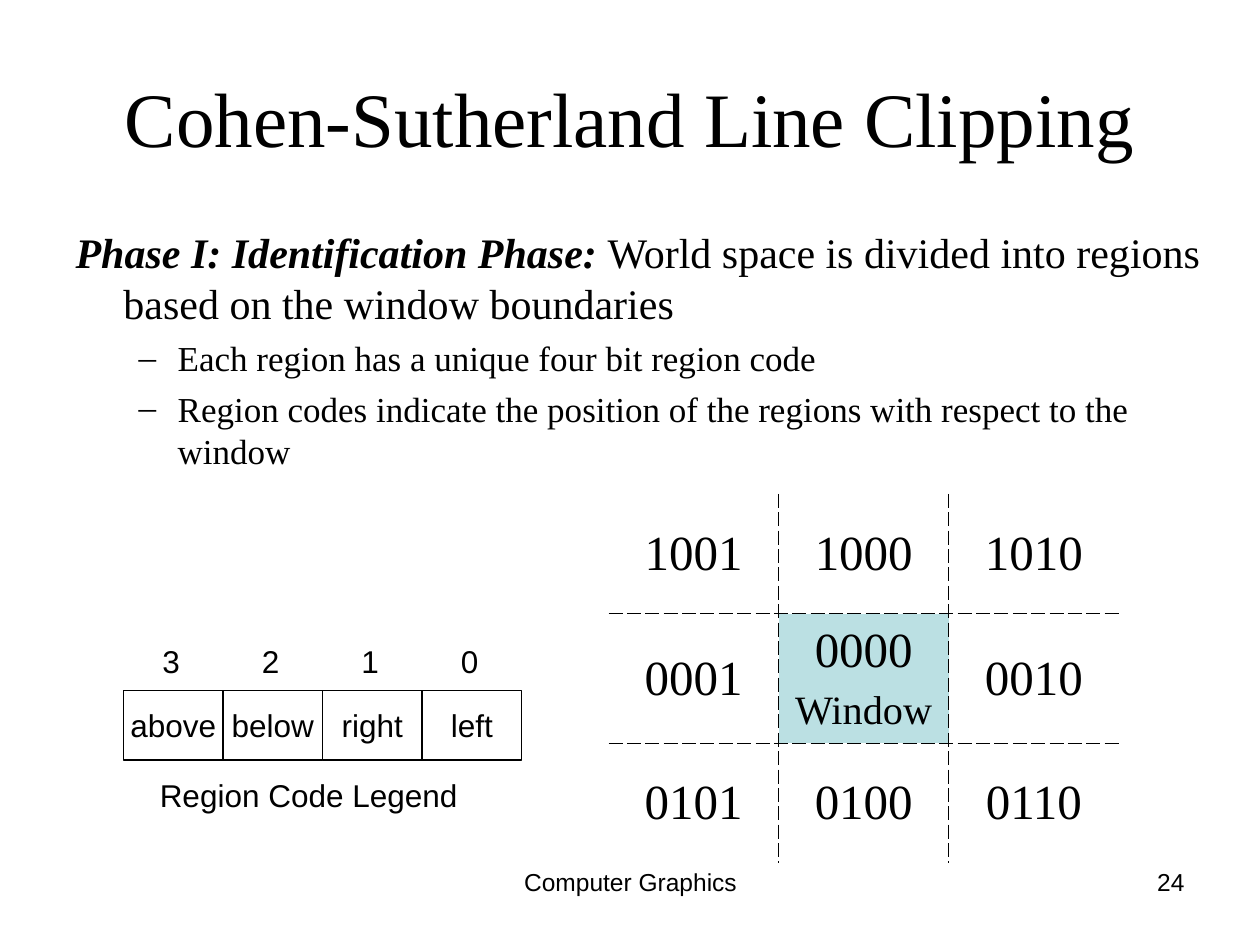
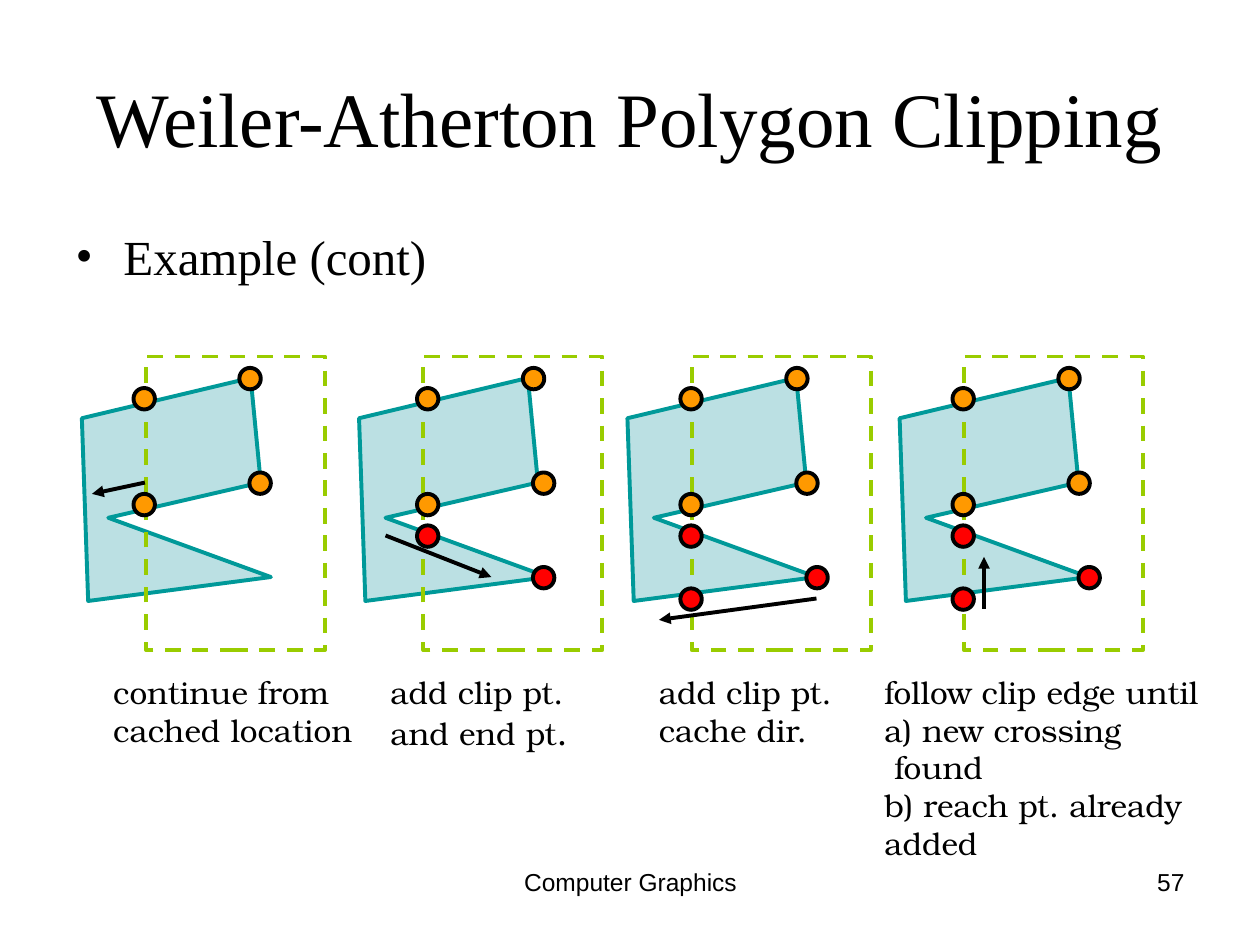
from dataclasses import dataclass

from lxml import etree
from pptx import Presentation
from pptx.dml.color import RGBColor
from pptx.enum.dml import MSO_LINE
from pptx.enum.shapes import MSO_CONNECTOR, MSO_SHAPE
from pptx.enum.text import MSO_ANCHOR, MSO_AUTO_SIZE, PP_ALIGN
from pptx.oxml.ns import qn
from pptx.util import Inches, Pt

LEFT, CENTER, RIGHT = PP_ALIGN.LEFT, PP_ALIGN.CENTER, PP_ALIGN.RIGHT
TOP, MIDDLE = MSO_ANCHOR.TOP, MSO_ANCHOR.MIDDLE
NO_AUTOSIZE = MSO_AUTO_SIZE.NONE
RECTANGLE, OVAL = MSO_SHAPE.RECTANGLE, MSO_SHAPE.OVAL
STRAIGHT = MSO_CONNECTOR.STRAIGHT
DASH = MSO_LINE.DASH

BLACK, PALE_TEAL, TEAL = "000000", "BBE0E3", "009999"
LIME, ORANGE, RED = "99CC00", "FF9900", "FF0000"
SERIF, SANS, CAPTION_FONT = "Times New Roman", "Arial", "TeX Gyre Bonum"


def color(hex_string):
    return RGBColor.from_string(hex_string)


def add_run(paragraph, text, size=18, font=SANS, bold=False, italic=False):
    run = paragraph.add_run()
    run.text = text
    run.font.size, run.font.name = Pt(size), font
    run.font.bold, run.font.italic = bold, italic
    run.font.color.rgb = color(BLACK)


def write(frame, lines, align=LEFT, anchor=TOP, wrap=True, **text_format):
    """Fill a text frame; a line is a string or a list of (text, format) runs."""
    frame.word_wrap = wrap
    frame.auto_size = NO_AUTOSIZE
    frame.vertical_anchor = anchor
    for index, line in enumerate(lines):
        paragraph = frame.add_paragraph() if index else frame.paragraphs[0]
        paragraph.alignment = align
        runs = [(line, {})] if isinstance(line, str) else line
        for text, changes in runs:
            add_run(paragraph, text, **{**text_format, **changes})


def set_bullet(paragraph, bullet, margin, indent):
    properties = paragraph._p.get_or_add_pPr()
    properties.set("marL", str(Inches(margin)))
    properties.set("indent", str(Inches(indent)))
    if bullet:
        etree.SubElement(properties, qn("a:buFont"), typeface=SERIF)
        etree.SubElement(properties, qn("a:buChar"), char=bullet)
    else:
        etree.SubElement(properties, qn("a:buNone"))


def set_borders(cell, visible):
    """Dash the visible sides (letters out of L, R, T, B) and clear the others."""
    properties = cell._tc.get_or_add_tcPr()
    for index, side in enumerate("LRTB"):
        border = etree.Element(qn(f"a:ln{side}"), w=str(Pt(0.45)))
        if side in visible:
            fill = etree.SubElement(border, qn("a:solidFill"))
            etree.SubElement(fill, qn("a:srgbClr"), val=BLACK)
            etree.SubElement(border, qn("a:prstDash"), val="dash")
        else:
            etree.SubElement(border, qn("a:noFill"))
        properties.insert(index, border)


@dataclass
class Bullet:
    runs: list
    size: int
    space_before: float
    character: str = ""
    level: int = 0


class Deck:
    def __init__(self):
        self.presentation = Presentation()
        self.presentation.slide_width = Inches(10)
        self.presentation.slide_height = Inches(7.5)
        self.slide = None

    def add_slide(self, title, number):
        layout = self.presentation.slide_layouts[1]
        self.slide = self.presentation.slides.add_slide(layout)
        heading = self.slide.shapes.title
        self.place(heading, 0.5, 0.3, 9, 1.25)
        write(heading.text_frame, [title], CENTER, MIDDLE, size=44, font=SERIF)
        self.text(3.42, 6.83, 3.17, 0.52, ["Computer Graphics"], align=CENTER, size=14)
        self.text(7.17, 6.83, 2.33, 0.52, [str(number)], align=RIGHT, size=14)

    def place(self, shape, left, top, width, height):
        shape.left, shape.top = Inches(left), Inches(top)
        shape.width, shape.height = Inches(width), Inches(height)

    def body(self, width, bullets):
        placeholder = self.slide.placeholders[1]
        self.place(placeholder, 0.5, 1.75, width, 4.95)
        frame = placeholder.text_frame
        write(frame, [bullet.runs for bullet in bullets], font=SERIF)
        for paragraph, bullet in zip(frame.paragraphs, bullets):
            paragraph.level = bullet.level
            paragraph.space_before = Pt(bullet.space_before)
            for run in paragraph.runs:
                run.font.size = Pt(bullet.size)
            margin, indent = ((0.38, -0.38), (0.81, -0.31))[bullet.level]
            set_bullet(paragraph, bullet.character, margin, indent)

    def text(self, left, top, width, height, lines, **text_format):
        box = self.slide.shapes.add_textbox(
            Inches(left), Inches(top), Inches(width), Inches(height))
        write(box.text_frame, lines, **text_format)

    def style(self, shape, fill, line, weight, dash=None):
        shape.shadow.inherit = False
        if fill:
            shape.fill.solid()
            shape.fill.fore_color.rgb = color(fill)
        else:
            shape.fill.background()
        shape.line.color.rgb = color(line)
        shape.line.width = Pt(weight)
        if dash:
            shape.line.dash_style = dash

    def shape(self, kind, left, top, width, height,
              fill=None, line=BLACK, weight=2.25, dash=None):
        shape = self.slide.shapes.add_shape(
            kind, Inches(left), Inches(top), Inches(width), Inches(height))
        self.style(shape, fill, line, weight, dash)
        return shape

    def polygon(self, points, fill, line):
        start, *others = [(Inches(x), Inches(y)) for x, y in points]
        builder = self.slide.shapes.build_freeform(*start)
        builder.add_line_segments(others, close=True)
        self.style(builder.convert_to_shape(), fill, line, 2.25)

    def arrow(self, start, end):
        points = [Inches(value) for value in (*start, *end)]
        connector = self.slide.shapes.add_connector(STRAIGHT, *points)
        connector.line.color.rgb = color(BLACK)
        connector.line.width = Pt(2.25)
        etree.SubElement(connector.line._get_or_add_ln(), qn("a:tailEnd"), type="triangle")
        etree.SubElement(connector._element.spPr, qn("a:effectLst"))

    def region_table(self, left, top, column_width, row_heights, codes):
        rows, columns = len(codes), len(codes[0])
        frame = self.slide.shapes.add_table(
            rows, columns, Inches(left), Inches(top),
            Inches(column_width * columns), Inches(sum(row_heights)))
        table = frame.table
        table.first_row = table.horz_banding = False
        for column in table.columns:
            column.width = Inches(column_width)
        for row, height in enumerate(row_heights):
            table.rows[row].height = Inches(height)
            for column in range(columns):
                cell = table.cell(row, column)
                cell.vertical_anchor = MIDDLE
                cell.fill.background()
                self.region_code(cell.text_frame.paragraphs[0], codes[row][column], 28, 7)
                # Only the lines between cells show
                sides = {"L": column > 0, "R": column < columns - 1,
                         "T": row > 0, "B": row < rows - 1}
                set_borders(cell, [side for side, inner in sides.items() if inner])
        return table

    def region_code(self, paragraph, text, size, space_before):
        paragraph.alignment = CENTER
        paragraph.space_before = Pt(space_before)
        add_run(paragraph, text, size=size, font=SERIF)


def build_region_codes(deck):
    deck.add_slide("Cohen-Sutherland Line Clipping", 24)
    deck.body(9.25, [
        Bullet([("Phase I: Identification Phase: ", {"bold": True, "italic": True}),
                ("World space is divided into regions based on the window boundaries", {})],
               24, 6),
        Bullet([("Each region has a unique four bit region code", {})], 20, 5, "–", 1),
        Bullet([("Region codes indicate the position of the regions "
                 "with respect to the window", {})], 20, 5, "–", 1),
    ])

    # Nine regions around the window
    table = deck.region_table(4.83, 3.92, 1.35, [0.95, 1.03, 0.95], [
        ["1001", "1000", "1010"],
        ["0001", "0000", "0010"],
        ["0101", "0100", "0110"],
    ])
    window = table.cell(1, 1)
    window.fill.solid()
    window.fill.fore_color.rgb = color(PALE_TEAL)
    deck.region_code(window.text_frame.add_paragraph(), "Window", 23, 5.8)

    # Legend of the four bits
    bit_width = 0.79
    for index, meaning in enumerate(["above", "below", "right", "left"]):
        left = 0.98 + index * bit_width
        box = deck.shape(RECTANGLE, left, 5.48, bit_width, 0.55, weight=1)
        write(box.text_frame, [meaning], CENTER, MIDDLE, wrap=False)
        deck.text(left + 0.21, 5.05, 0.34, 0.4, [str(3 - index)], wrap=False)
    deck.text(1.17, 6.11, 2.56, 0.4, ["Region Code Legend"], wrap=False)


@dataclass
class Step:
    left: float
    dots_left: float
    arrow: tuple
    red_dots: list
    caption_left: float
    caption_width: float
    caption: list


# Polygon corners from the step's left edge; dots from its dots_left
CORNERS = [(0, 3.32), (1.34, 3), (1.42, 3.83), (0.21, 4.11), (1.5, 4.58), (0.05, 4.77)]
ORANGE_DOTS = [(0, 3.08), (0.84, 2.92), (0.92, 3.75), (0, 3.92)]
CROSSING, TIP, LOWER_CROSSING = (0, 4.17), (1, 4.5), (0, 4.67)

STEPS = [
    Step(0.65, 1.06, ((1.15, 3.83), (0.73, 3.92)), [],
         0.8, 2.1, ["continue from", "cached location"]),
    Step(2.85, 3.31, ((3.06, 4.25), (3.9, 4.58)), [CROSSING, (0.92, 4.5)],
         3, 1.61, ["add clip pt.", [("and end pt", {}), (".", {"size": 20})]]),
    Step(4.98, 5.4, ((6.48, 4.75), (5.23, 4.92)), [CROSSING, TIP, LOWER_CROSSING],
         5.13, 1.58, ["add clip pt.", "cache dir."]),
    Step(7.14, 7.56, ((7.81, 4.83), (7.81, 4.42)), [CROSSING, TIP, LOWER_CROSSING],
         6.92, 3, ["follow clip edge until", "a) new crossing", " found",
                   "b) reach pt. already", "added"]),
]


def build_polygon_steps(deck):
    deck.add_slide("Weiler-Atherton Polygon Clipping", 57)
    deck.body(9, [Bullet([("Example (cont)", {})], 28, 7, "•")])
    for step in STEPS:
        # Polygon, clip window and walking direction
        deck.polygon([(step.left + x, y) for x, y in CORNERS], PALE_TEAL, TEAL)
        deck.shape(RECTANGLE, step.left + 0.51, 2.83, 1.42, 2.33, line=LIME, dash=DASH)
        deck.arrow(*step.arrow)
        deck.text(step.caption_left, 5.29, step.caption_width, 0.32 * len(step.caption),
                  step.caption, font=CAPTION_FONT)
        # Points found earlier in orange, later ones in red
        for fill, dots in ((ORANGE, ORANGE_DOTS), (RED, step.red_dots)):
            for x, y in dots:
                deck.shape(OVAL, step.dots_left + x, y, 0.17, 0.17, fill=fill)


def main():
    deck = Deck()
    build_region_codes(deck)
    build_polygon_steps(deck)
    deck.presentation.save("out.pptx")


if __name__ == "__main__":
    main()
